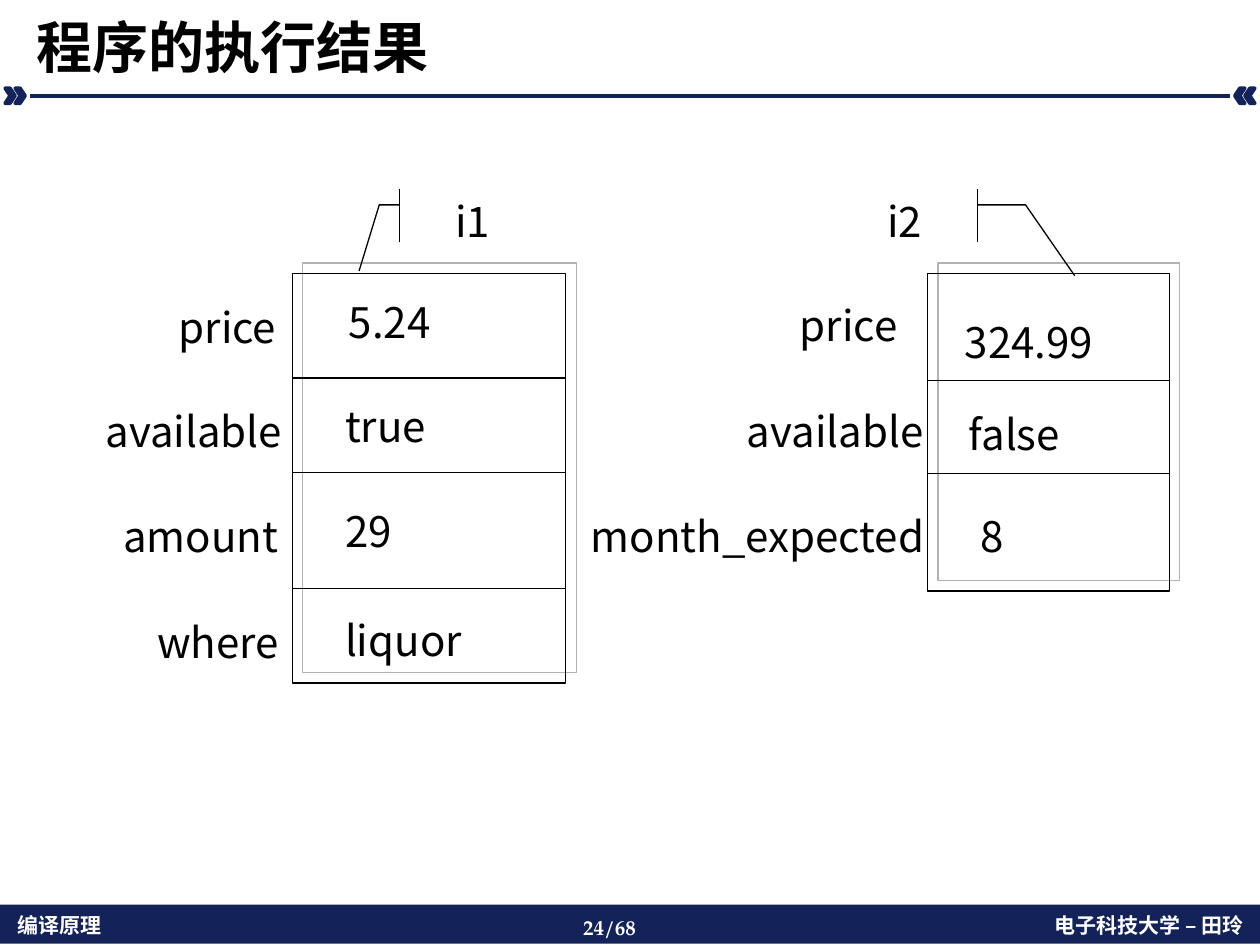
"""Build a slide showing two variant records and their field values after a program runs."""
from dataclasses import dataclass

import lxml.etree
import pptx
import pptx.dml.color
import pptx.enum.shapes
import pptx.enum.text
import pptx.oxml.ns
import pptx.util
from pptx.util import Inches

COLOURS = {"navy": "132259", "black": "000000", "white": "FFFFFF", "shadow": "B2B2B2"}
SANS = "Noto Sans CJK SC"
SERIF = "TeX Gyre Pagella"
SHAPES = pptx.enum.shapes.MSO_SHAPE
ALIGN = pptx.enum.text.PP_ALIGN


@dataclass
class Label:
    text: str
    left: float
    top: float
    width: float


@dataclass
class Record:
    left: float
    width: float
    height: float
    dividers: list[float]
    labels: list[Label]
    name: str
    name_left: float
    pointer: list[float]


RECORDS = [
    Record(2.32, 2.17, 3.25, [3, 3.75, 4.67], [
        Label("price", 1.32, 2.34, 0.99), Label("available", 0.74, 3.17, 1.61),
        Label("amount", 0.88, 4, 1.46), Label("where", 1.15, 4.84, 1.19),
        Label("5.24", 2.67, 2.3, 0.88), Label("true", 2.64, 3.13, 0.85),
        Label("29", 2.64, 3.96, 0.6), Label("liquor", 2.64, 4.83, 1.15),
    ], "i1", 3.25, [0.3, -0.08, 0.3, -0.24, 1.55, -0.4]),
    Record(7.36, 1.92, 2.52, [3.02, 3.76], [
        Label("price", 6.25, 2.33, 0.99), Label("available", 5.83, 3.17, 1.61),
        Label("month_expected", 4.59, 4, 2.89),
        Label("324.99", 7.56, 2.46, 1.27), Label("false", 7.59, 3.19, 0.94),
        Label("8", 7.68, 4, 0.4),
    ], "i2", 6.68, [0.3, 1.08, 0.3, 1.46, 1.64, 1.85]),
]


def colour(name: str) -> pptx.dml.color.RGBColor:
    """Return the named palette colour."""
    return pptx.dml.color.RGBColor.from_string(COLOURS[name])


def add_effects(properties) -> lxml.etree.ElementBase:
    """Append an empty effect list to shape properties."""
    return lxml.etree.SubElement(properties, pptx.oxml.ns.qn("a:effectLst"))


def write(frame, text: str, size: float, ink: str, bold: bool = False,
          align=ALIGN.LEFT, font: str = SANS) -> None:
    """Write one formatted run into the first paragraph of a text frame."""
    para = frame.paragraphs[0]
    para.alignment = align
    span = para.add_run()
    span.text = text
    span.font.size = pptx.util.Pt(size)
    span.font.bold = bold
    span.font.color.rgb = colour(ink)
    span.font.name = font
    properties = span._r.get_or_add_rPr()
    lxml.etree.SubElement(properties, pptx.oxml.ns.qn("a:ea"), typeface=font)


def add_text(page, label: Label, height: float, size: float, ink: str,
             wrap: bool, **style) -> None:
    """Add a text box that grows with its text."""
    box = page.shapes.add_textbox(
        Inches(label.left), Inches(label.top), Inches(label.width), Inches(height))
    box.text_frame.word_wrap = wrap
    box.text_frame.auto_size = pptx.enum.text.MSO_AUTO_SIZE.SHAPE_TO_FIT_TEXT
    write(box.text_frame, label.text, size, ink, **style)


def add_box(page, kind, left: float, top: float, width: float, height: float,
            fill: str | None, line: str | None, weight: float = 0.75):
    """Add a preset shape with optional fill and outline."""
    box = page.shapes.add_shape(
        kind, Inches(left), Inches(top), Inches(width), Inches(height))
    if fill:
        box.fill.solid()
        box.fill.fore_color.rgb = colour(fill)
    else:
        box.fill.background()
    if line:
        box.line.color.rgb = colour(line)
        box.line.width = pptx.util.Pt(weight)
    else:
        box.line.fill.background()
    box.shadow.inherit = False
    return box


def add_rule(page, left: float, right: float, top: float, ink: str, weight: float) -> None:
    """Add a horizontal line."""
    rule = page.shapes.add_connector(
        pptx.enum.shapes.MSO_CONNECTOR.STRAIGHT,
        Inches(left), Inches(top), Inches(right), Inches(top))
    rule.line.color.rgb = colour(ink)
    rule.line.width = pptx.util.Pt(weight)
    add_effects(rule._element.spPr)


def cast_shadow(box) -> None:
    """Give a box a hard grey shadow up and to the right."""
    qn = pptx.oxml.ns.qn
    effects = box._element.spPr.find(qn("a:effectLst"))
    shadow = lxml.etree.SubElement(
        effects, qn("a:outerShdw"), blurRad="0", dist=str(pptx.util.Pt(8.5)),
        dir=str(315 * 60000), algn="ctr", rotWithShape="0")
    lxml.etree.SubElement(shadow, qn("a:srgbClr"), val=COLOURS["shadow"])


def add_frame(page) -> None:
    """Add the footer band, its texts and the rule under the title."""
    add_box(page, SHAPES.RECTANGLE, 0, 7.18, 10, 0.31, "navy", None)
    footers = [
        (Label("编译原理", 0.04, 7.19, 2.94), ALIGN.LEFT, SANS),
        (Label("电子科技大学 – 田玲", 6.98, 7.19, 2.99), ALIGN.RIGHT, SANS),
        (Label("24/68", 4.53, 7.21, 0.94), ALIGN.LEFT, SERIF),
    ]
    for label, align, font in footers:
        add_text(page, label, 0.3, 12, "white", True, bold=True, align=align, font=font)
    for left in (0.04, 0.12, 9.8, 9.88):
        chevron = add_box(page, SHAPES.CHEVRON, left, 0.7, 0.08, 0.12, "navy", "navy", 2)
        if left > 5:
            chevron._element.spPr.get_or_add_xfrm().set("flipH", "1")
    add_rule(page, 0.24, 9.76, 0.76, "navy", 2)


def add_title(page, text: str) -> None:
    """Place and format the title placeholder."""
    title = page.shapes.title
    title.left, title.top = Inches(0.19), Inches(0.05)
    title.width, title.height = Inches(9.61), Inches(0.64)
    frame = title.text_frame
    frame.word_wrap = True
    frame.auto_size = pptx.enum.text.MSO_AUTO_SIZE.NONE
    frame.vertical_anchor = pptx.enum.text.MSO_ANCHOR.BOTTOM
    frame.paragraphs[0].line_spacing = 0.9
    write(frame, text, 32, "black", bold=True)


def add_record(page, record: Record) -> None:
    """Draw a record with its dividers, fields, values and name callout."""
    cast_shadow(add_box(page, SHAPES.RECTANGLE, record.left, 2.17,
                        record.width, record.height, None, "black"))
    for top in record.dividers:
        add_rule(page, record.left, record.left + record.width, top, "black", 0.75)
    for label in record.labels:
        add_text(page, label, 0.51, 24, "black", False)
    callout = add_box(page, SHAPES.LINE_CALLOUT_2_ACCENT_BAR, record.name_left, 1.5,
                      1, 0.42, None, "black")
    for index, value in enumerate(record.pointer):
        callout.adjustments[index] = value
    callout.text_frame.vertical_anchor = pptx.enum.text.MSO_ANCHOR.TOP
    write(callout.text_frame, record.name, 24, "black", align=ALIGN.CENTER)


def main() -> None:
    """Build and save the deck."""
    deck = pptx.Presentation()
    deck.slide_width, deck.slide_height = Inches(10), Inches(7.5)
    page = deck.slides.add_slide(deck.slide_layouts[5])
    add_frame(page)
    add_title(page, "程序的执行结果")
    for record in RECORDS:
        add_record(page, record)
    deck.save("out.pptx")


if __name__ == "__main__":
    main()
